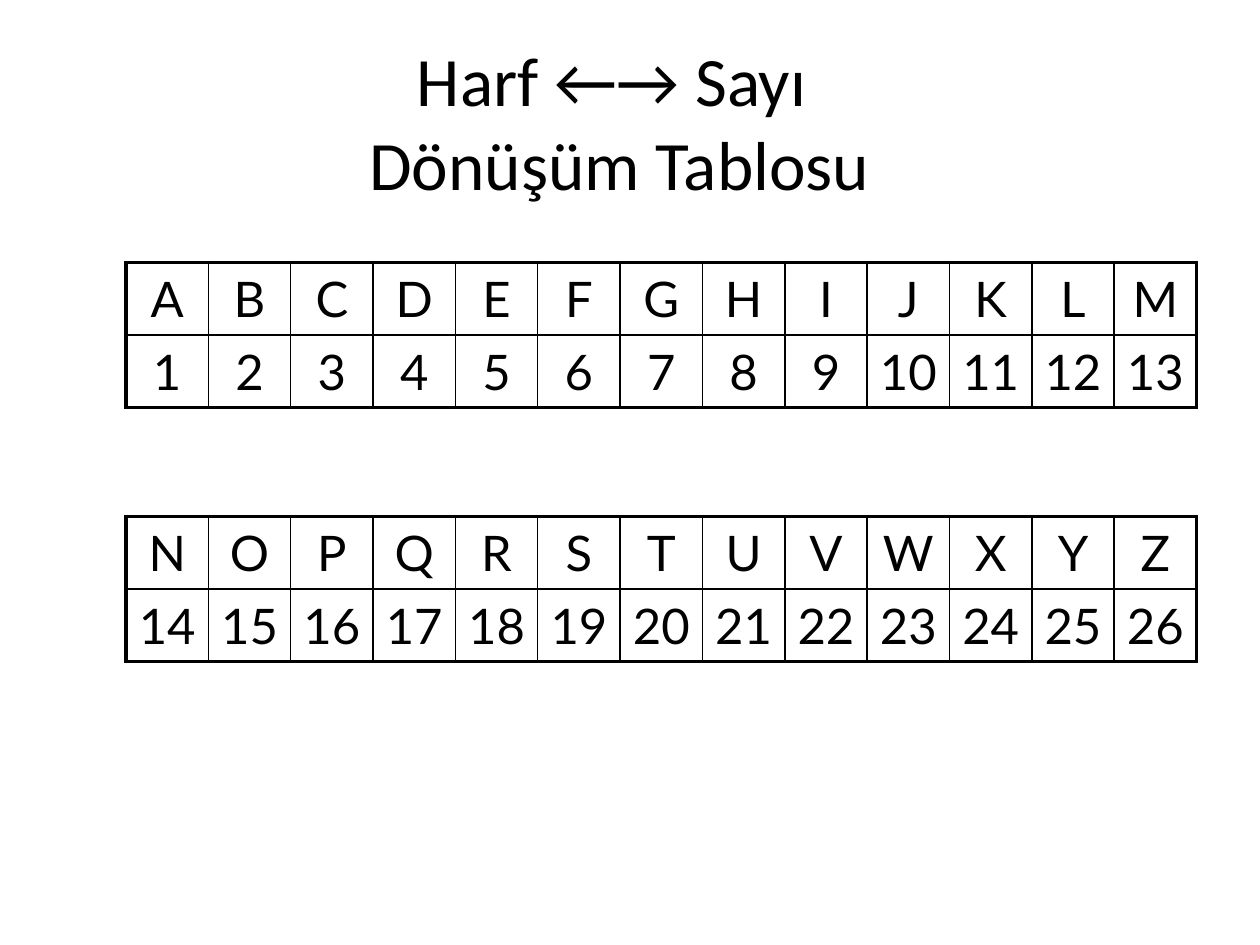
from pptx import Presentation
from pptx.util import Pt
from pptx.dml.color import RGBColor as RGB
from pptx.enum.text import PP_ALIGN as Align, MSO_ANCHOR as Anchor, MSO_AUTO_SIZE as Fit
from pptx.oxml.ns import qn
from lxml.etree import SubElement as Sub

TITLE = "Harf ←→ Sayı \vDönüşüm Tablosu"
TABLES = [("ABCDEFGHIJKLM", 1, 150), ("NOPQRSTUVWXYZ", 14, 295.2)]
COLORS = {"ink": "000000"}
LEFT, WIDE, ROW = 72, 612, 41.4
THICK, THIN = 2.25, 1


def write(frame, text, size, font, color="ink"):
    para = frame.paragraphs[0]
    para.text = text
    para.alignment = Align.CENTER
    for run in para.runs:
        run.font.size = Pt(size)
        run.font.name = font
        run.font.color.rgb = RGB.from_string(COLORS[color])
    for gap in para._p.findall(qn("a:br")):
        Sub(gap, qn("a:rPr"), sz=str(round(size * 100)))


def edge(cell, sides):
    props = cell._tc.get_or_add_tcPr()
    for at, (side, thick) in enumerate(sides.items()):
        line = props.makeelement(qn("a:" + side), {"w": str(Pt(THICK if thick else THIN))})
        props.insert(at, line)
        Sub(Sub(line, qn("a:solidFill")), qn("a:srgbClr"), val=COLORS["ink"])


def grid(slide, letters, first, top):
    rows = [list(letters), [str(first + i) for i in range(len(letters))]]
    count = len(letters)
    table = slide.shapes.add_table(2, count, Pt(LEFT), Pt(top), Pt(WIDE), Pt(2 * ROW)).table
    table.first_row = table.horz_banding = False
    for col in table.columns:
        col.width = Pt(WIDE / count)
    for r, row in enumerate(rows):
        table.rows[r].height = Pt(ROW)
        for c, text in enumerate(row):
            cell = table.cell(r, c)
            cell.fill.background()
            cell.vertical_anchor = Anchor.MIDDLE
            cell.margin_left = cell.margin_right = Pt(3)
            write(cell.text_frame, text, size=28, font="Lato")
            edge(cell, {"lnL": c == 0, "lnR": c == count - 1, "lnT": r == 0, "lnB": r == 1})


deck = Presentation()
deck.slide_width, deck.slide_height = Pt(720), Pt(540)
slide = deck.slides.add_slide(deck.slide_layouts[5])
title = slide.shapes.title
title.left, title.top, title.width, title.height = Pt(48), Pt(24), Pt(WIDE), Pt(90)
frame = title.text_frame
frame.auto_size = Fit.NONE
frame.vertical_anchor = Anchor.MIDDLE
write(frame, TITLE, size=39.6, font="Calibri")
for letters, first, top in TABLES:
    grid(slide, letters, first, top)
deck.save("out.pptx")
